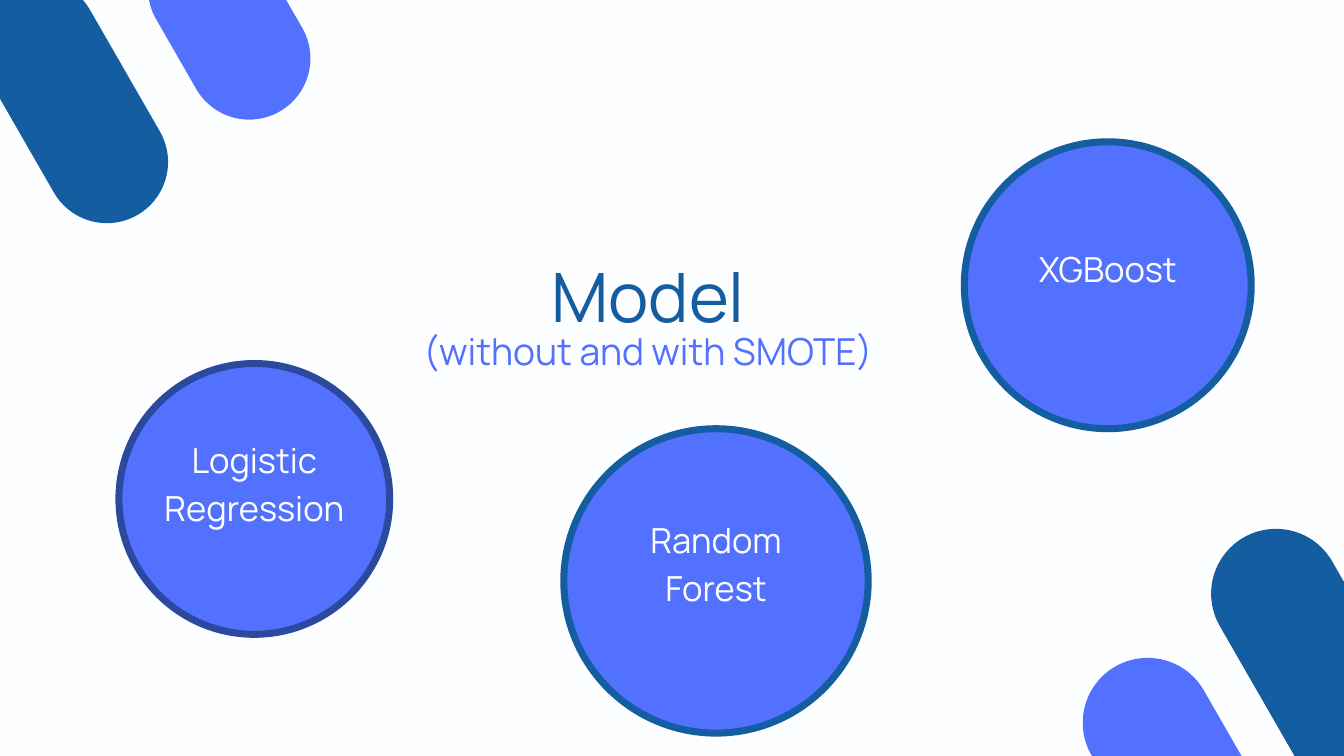
from pptx import Presentation
from pptx.dml.color import RGBColor
from pptx.enum.shapes import MSO_SHAPE
from pptx.enum.text import MSO_ANCHOR, PP_ALIGN
from pptx.util import Inches, Pt

OVAL = MSO_SHAPE.OVAL
PILL = MSO_SHAPE.ROUNDED_RECTANGLE
TOP, MIDDLE = MSO_ANCHOR.TOP, MSO_ANCHOR.MIDDLE
CENTER = PP_ALIGN.CENTER

FONT = "Manrope"
BLUE, NAVY, INDIGO = "5271FF", "145DA0", "2B4A9D"
WHITE, PAPER = "FFFFFF", "FCFEFF"
TILT = -29.9


def rgb(code):
    return RGBColor.from_string(code)


def add_text(slide, lines, box, anchor=TOP, inset=0):
    """Each line is (text, size, spacing, colour)."""
    frame = slide.shapes.add_textbox(*map(Inches, box)).text_frame
    frame.word_wrap = True
    frame.vertical_anchor = anchor
    frame.margin_left = frame.margin_right = Inches(inset)
    frame.margin_top = frame.margin_bottom = Inches(inset)
    for i, (text, size, space, color) in enumerate(lines):
        para = frame.add_paragraph() if i else frame.paragraphs[0]
        para.alignment = CENTER
        para.line_spacing = Pt(space)
        run = para.add_run()
        run.text = text
        run.font.name = FONT
        run.font.size = Pt(size)
        run.font.color.rgb = rgb(color)


def add_form(slide, kind, box, fill, line=None):
    form = slide.shapes.add_shape(kind, *map(Inches, box))
    form.shadow.inherit = False
    form.fill.solid()
    form.fill.fore_color.rgb = rgb(fill)
    if line:
        form.line.color.rgb = rgb(line)
        form.line.width = Pt(7.5)
    else:
        form.line.fill.background()
    return form


def add_model(slide, x, y, size, lines, ring):
    """Ringed circle with its label set slightly above the middle."""
    add_form(slide, OVAL, (x, y, size, size), BLUE, ring)
    label = (x + 0.094 * size, y - 0.045 * size, 0.812 * size, 0.953 * size)
    add_text(slide, [(text, 37, 51.8, WHITE) for text in lines], label,
             anchor=MIDDLE, inset=0.06)


def add_title(slide, box):
    add_text(slide, [("Model", 73, 73, NAVY),
                     ("(without and with SMOTE)", 39.8, 39.8, BLUE)], box)


def add_pill(slide, box, fill):
    pill = add_form(slide, PILL, box, fill)
    pill.adjustments[0] = 0.5
    pill.rotation = TILT


def main():
    deck = Presentation()
    deck.slide_width, deck.slide_height = Inches(20), Inches(11.25)
    slide = deck.slides.add_slide(deck.slide_layouts[6])
    slide.background.fill.solid()
    slide.background.fill.fore_color.rgb = rgb(PAPER)

    # Models
    add_model(slide, 1.77, 5.41, 4.03, ["Logistic", "Regression"], INDIGO)
    add_model(slide, 8.39, 6.38, 4.53, ["Random Forest"], NAVY)
    add_model(slide, 14.35, 2.11, 4.27, ["XGBoost"], NAVY)

    # Title
    add_title(slide, (5.85, 3.99, 7.59, 1.64))

    # Corner pills: top left, then bottom right
    add_pill(slide, (0.16, -0.45, 1.82, 3.91), NAVY)
    add_pill(slide, (2.5, -1.16, 1.82, 3.02), BLUE)
    add_pill(slide, (19.82, 7.39, 1.93, 9.14), NAVY)
    add_pill(slide, (17.91, 9.31, 1.93, 9.14), BLUE)

    deck.save("out.pptx")


if __name__ == "__main__":
    main()
